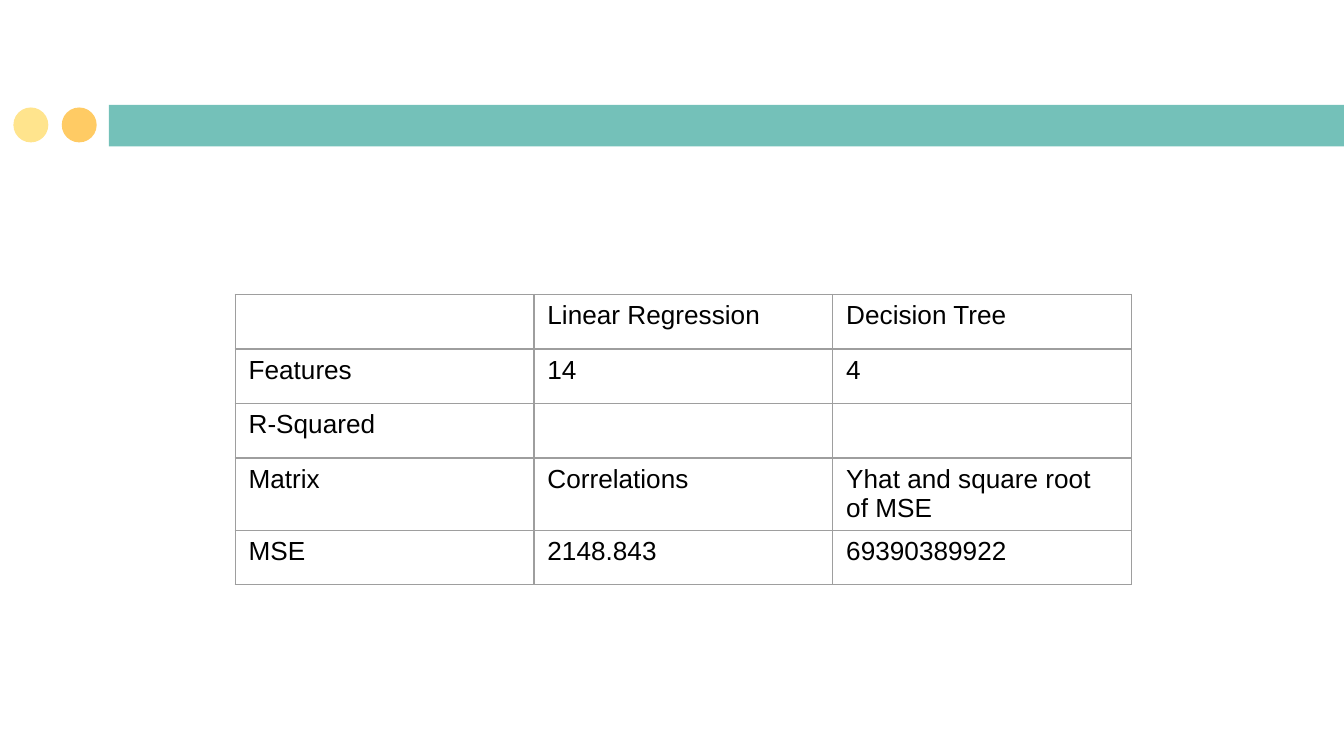
from pptx import Presentation
from pptx.dml.color import RGBColor
from pptx.enum.shapes import MSO_SHAPE
from pptx.oxml import parse_xml
from pptx.oxml.ns import nsdecls
from pptx.util import Inches, Pt

TEAL = RGBColor(0x74, 0xC1, 0xB9)
ORANGE = RGBColor(0xFF, 0xCB, 0x64)
YELLOW = RGBColor(0xFF, 0xE4, 0x8D)
BLACK = RGBColor(0x00, 0x00, 0x00)
GRAY = RGBColor(0x9E, 0x9E, 0x9E)

# Widescreen slide, 16:9
prs = Presentation()
prs.slide_width = Inches(10)
prs.slide_height = Inches(10) * 9 // 16
slide = prs.slides.add_slide(prs.slide_layouts[6])

# Header band and dots
for kind, left, top, width, height, color in [
    (MSO_SHAPE.RECTANGLE, 0.81, 0.78, 9.5, 0.31, TEAL),
    (MSO_SHAPE.OVAL, 0.46, 0.8, 0.26, 0.26, ORANGE),
    (MSO_SHAPE.OVAL, 0.1, 0.8, 0.26, 0.26, YELLOW),
]:
    ornament = slide.shapes.add_shape(
        kind, Inches(left), Inches(top), Inches(width), Inches(height))
    ornament.shadow.inherit = False
    ornament.fill.solid()
    ornament.fill.fore_color.rgb = color
    ornament.line.fill.background()

# Model comparison table
comparison = [
    ["", "Linear Regression", "Decision Tree"],
    ["Features", "14", "4"],
    ["R-Squared", "", ""],
    ["Matrix", "Correlations", "Yhat and square root of MSE"],
    ["MSE", "2148.843", "69390389922"],
]
models = slide.shapes.add_table(
    len(comparison), len(comparison[0]),
    Inches(1.75), Inches(2.19), Inches(6.67), Inches(2.03)).table
models.first_row = False
models.horz_banding = False

for row, values in enumerate(comparison):
    for column, value in enumerate(values):
        cell = models.cell(row, column)
        cell.text = value
        font = cell.text_frame.paragraphs[0].font
        font.name = "Arial"
        font.size = Pt(14)
        font.color.rgb = BLACK

        # Thin gray borders come before the fill in the cell properties
        properties = cell._tc.get_or_add_tcPr()
        for side in ("lnL", "lnR", "lnT", "lnB"):
            border = parse_xml(
                f'<a:{side} {nsdecls("a")} w="{Pt(0.75)}">'
                f'<a:solidFill><a:srgbClr val="{GRAY}"/></a:solidFill></a:{side}>')
            properties.append(border)
        cell.fill.background()

prs.save("out.pptx")
